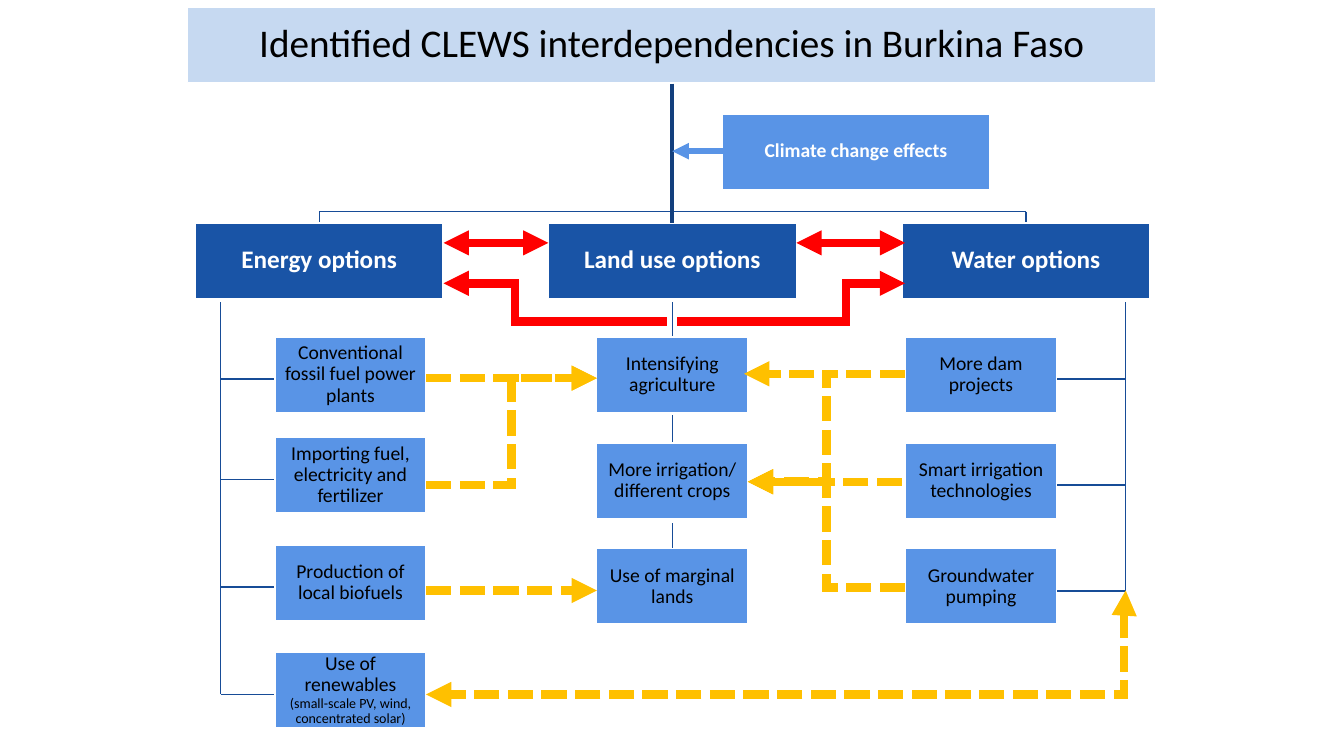
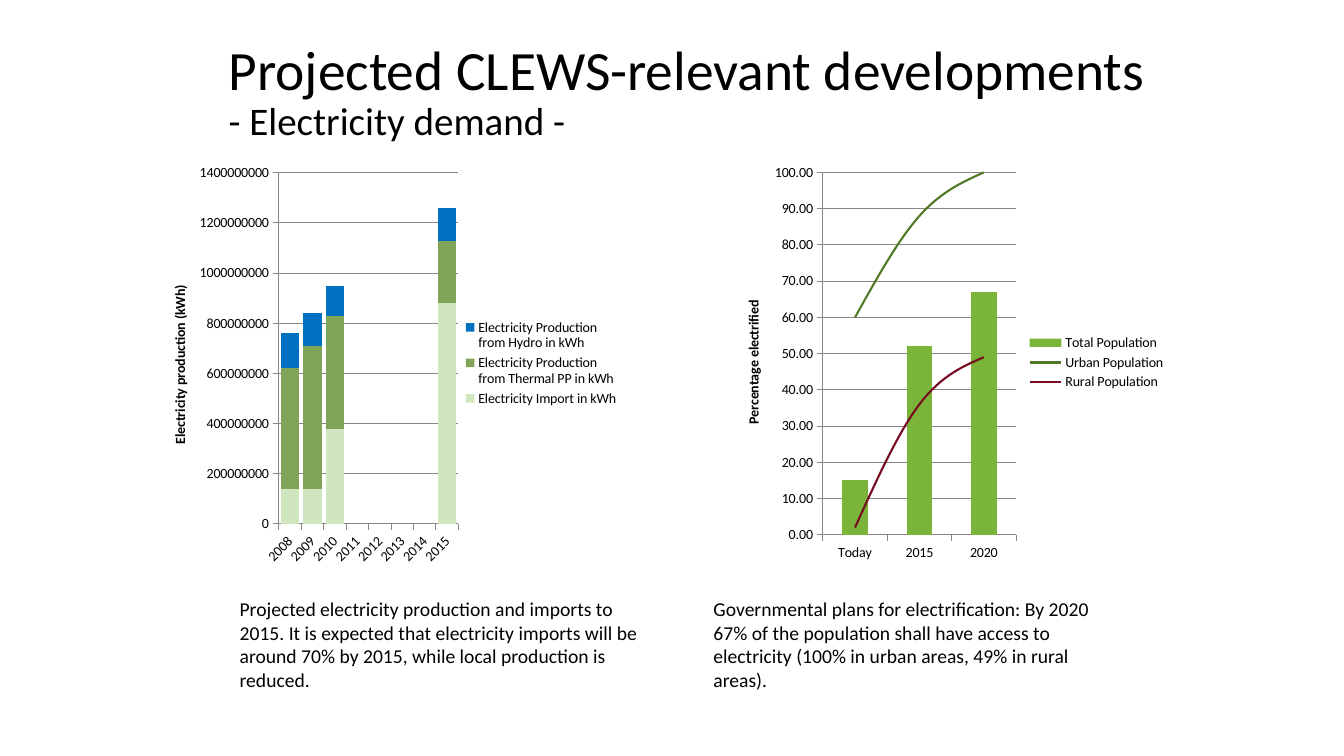
from dataclasses import dataclass
from lxml import etree
from pptx import Presentation
from pptx.chart.chart import Chart
from pptx.chart.data import CategoryChartData
from pptx.dml.color import RGBColor
from pptx.enum.chart import XL_CHART_TYPE, XL_LEGEND_POSITION, XL_MARKER_STYLE, XL_TICK_MARK
from pptx.enum.dml import MSO_LINE
from pptx.enum.shapes import MSO_CONNECTOR, MSO_SHAPE
from pptx.enum.text import MSO_ANCHOR, MSO_AUTO_SIZE, PP_ALIGN
from pptx.oxml.ns import qn
from pptx.shapes.autoshape import Shape
from pptx.slide import Slide
from pptx.text.text import TextFrame
from pptx.util import Cm, Pt

FONT = "Calibri"
BLACK = RGBColor(0x00, 0x00, 0x00)
WHITE = RGBColor(0xFF, 0xFF, 0xFF)
PALE_BLUE = RGBColor(0xC6, 0xD9, 0xF1)
LIGHT_BLUE = RGBColor(0x59, 0x94, 0xE6)
DEEP_BLUE = RGBColor(0x19, 0x54, 0xA6)
TREE_BLUE = RGBColor(0x17, 0x4C, 0x97)
NAVY = RGBColor(0x13, 0x3F, 0x7D)
RED = RGBColor(0xFF, 0x00, 0x00)
AMBER = RGBColor(0xFF, 0xC0, 0x00)
GRID_GREY = RGBColor(0x87, 0x87, 0x87)
IMPORT_GREEN = RGBColor(0xCF, 0xE6, 0xBE)
THERMAL_GREEN = RGBColor(0x80, 0xA5, 0x59)
HYDRO_BLUE = RGBColor(0x00, 0x70, 0xC0)
TOTAL_GREEN = RGBColor(0x7A, 0xB5, 0x39)
URBAN_GREEN = RGBColor(0x51, 0x79, 0x26)
RURAL_RED = RGBColor(0x76, 0x0C, 0x22)

LEFT, CENTER = PP_ALIGN.LEFT, PP_ALIGN.CENTER
TOP, MIDDLE = MSO_ANCHOR.TOP, MSO_ANCHOR.MIDDLE
STRAIGHT, ELBOW = MSO_CONNECTOR.STRAIGHT, MSO_CONNECTOR.ELBOW
RECTANGLE = MSO_SHAPE.RECTANGLE
SHORT_DASH = MSO_LINE.SQUARE_DOT
TICK_OUT = XL_TICK_MARK.OUTSIDE
STACKED, CLUSTERED = XL_CHART_TYPE.COLUMN_STACKED, XL_CHART_TYPE.COLUMN_CLUSTERED
LEGEND_RIGHT = XL_LEGEND_POSITION.RIGHT
NO_MARKER = XL_MARKER_STYLE.NONE
FIT_SHAPE, NO_FIT = MSO_AUTO_SIZE.SHAPE_TO_FIT_TEXT, MSO_AUTO_SIZE.NONE

BOX_HEIGHT, HEADER_WIDTH, OPTION_WIDTH = 1.9, 6.25, 3.81
HEADER_TOP, TRUNK_TOP, BRACKET_Y = 5.62, 7.62, 5.33
MIDDLE_X, RUNG_DROP = 16.94, 1.06
ROW_TOPS = [8.49 + 2.67 * row for row in range(3)]
Point = tuple[float, float]

@dataclass(frozen=True)
class Span:
    text: str
    size: float
    color: RGBColor = BLACK
    bold: bool = False

@dataclass(frozen=True)
class Column:
    header: str
    header_left: float
    option_left: float
    tops: list[float]
    options: list[str]

@dataclass(frozen=True)
class Link:
    start: Point
    end: Point
    color: RGBColor = AMBER
    width: float = 6
    head: bool = False
    tail: bool = True
    bend: float = 0.5

@dataclass(frozen=True)
class Series:
    name: str
    values: list[float | None]
    color: RGBColor

COLUMNS = [
    Column("Energy options", 4.92, 6.93, [8.49, 11.02, 13.73, 16.44], [
        "Conventional fossil fuel power plants", "Importing fuel, electricity and fertilizer",
        "Production of local biofuels", "Use of renewables\n(small-scale PV, wind, concentrated solar)"]),
    Column("Land use options", 13.82, 15.04, ROW_TOPS, [
        "Intensifying agriculture", "More irrigation/ different crops", "Use of marginal lands"]),
    Column("Water options", 22.73, 22.82, ROW_TOPS, [
        "More dam projects", "Smart irrigation technologies", "Groundwater pumping"]),
]
LINKS = [
    Link((11.18, 6.12), (13.82, 6.12), RED, head=True),
    Link((10.74, 12.22), (15.04, 9.53)),
    Link((10.74, 9.53), (15.04, 9.53)),
    Link((10.74, 14.88), (15.04, 14.88)),
    Link((22.73, 12.14), (18.85, 12.14)),
    Link((22.81, 9.42), (18.85, 12.14)),
    Link((22.81, 6.12), (20.07, 6.12), RED, head=True),
    Link((22.81, 14.81), (18.85, 12.14)),
    Link((11.18, 7.14), (16.81, 8.1), RED, head=True, tail=False, bend=0.32),
    Link((22.81, 7.14), (17.07, 8.1), RED, head=True, tail=False, bend=0.26),
    Link((MIDDLE_X, 2.11), (MIDDLE_X, HEADER_TOP), NAVY, 2.5, tail=False),
    Link((28.37, 14.88), (10.74, 17.5), head=True, bend=0),
    Link((18.21, 3.81), (MIDDLE_X, 3.81), LIGHT_BLUE, 4),
    Link((20.52, 9.42), (18.75, 9.42)),
]

def write(frame: TextFrame, spans: list[Span], align: PP_ALIGN, anchor: MSO_ANCHOR,
          spacing: float, inset: float) -> None:
    frame.word_wrap = True
    frame.vertical_anchor = anchor
    frame.margin_left = frame.margin_right = Cm(inset)
    frame.margin_top = frame.margin_bottom = Cm(min(inset, 0.13))
    para = frame.paragraphs[0]
    para.alignment = align
    para.line_spacing = spacing
    for index, span in enumerate(spans):
        if index:
            para.add_line_break()
        run = para.add_run()
        run.text = span.text
        run.font.name = FONT
        run.font.size = Pt(span.size)
        run.font.bold = span.bold
        run.font.color.rgb = span.color

def paint(shape: Shape, fill: RGBColor) -> None:
    shape.fill.solid()
    shape.fill.fore_color.rgb = fill
    shape.line.color.rgb = WHITE
    shape.line.width = Pt(1)

def add_title(slide: Slide, spans: list[Span], place: tuple[float, ...], align: PP_ALIGN, inset: float) -> Shape:
    title = slide.shapes.title
    title.left, title.top, title.width, title.height = map(Cm, place)
    write(title.text_frame, spans, align, MIDDLE, 0.9, inset)
    title.text_frame.auto_size = NO_FIT
    return title

def add_box(slide: Slide, left: float, top: float, width: float, fill: RGBColor,
            spans: list[Span], inset: float = 0.03) -> None:
    box = slide.shapes.add_shape(RECTANGLE, Cm(left), Cm(top), Cm(width), Cm(BOX_HEIGHT))
    box.shadow.inherit = False
    paint(box, fill)
    write(box.text_frame, spans, CENTER, MIDDLE, 0.9, inset)

def add_link(slide: Slide, link: Link) -> None:
    level = link.start[0] == link.end[0] or link.start[1] == link.end[1]
    connector = slide.shapes.add_connector(STRAIGHT if level else ELBOW, *map(Cm, link.start + link.end))
    connector.line.color.rgb = link.color
    connector.line.width = Pt(link.width)
    if link.color == AMBER:
        connector.line.dash_style = SHORT_DASH
    properties = connector.element.spPr
    outline = properties.find(qn("a:ln"))
    etree.SubElement(outline, qn("a:miter"), lim="800000")
    for tag, shown in (("a:headEnd", link.head), ("a:tailEnd", link.tail)):
        if shown:
            etree.SubElement(outline, qn(tag), type="triangle")
    etree.SubElement(properties, qn("a:effectLst"))
    if not level:
        guides = properties.find(qn("a:prstGeom")).get_or_add_avLst()
        bend = round(link.bend * 100000) or 200
        etree.SubElement(guides, qn("a:gd"), name="adj1", fmla=f"val {bend}")

def add_tree(slide: Slide) -> None:
    energy, land, water = COLUMNS
    ends = [column.header_left + HEADER_WIDTH / 2 for column in (energy, water)]
    segments = [((ends[0], BRACKET_Y), (ends[1], BRACKET_Y))]
    segments += [((x, BRACKET_Y), (x, HEADER_TOP)) for x in ends]
    segments += [((MIDDLE_X, start), (MIDDLE_X, top))
                 for start, top in zip((TRUNK_TOP, 10.46, 13.18), land.tops)]
    for trunk, edge, tops in ((5.56, energy.option_left, energy.tops),
                              (28.37, water.option_left + OPTION_WIDTH, water.tops)):
        segments.append(((trunk, TRUNK_TOP), (trunk, tops[-1] + RUNG_DROP)))
        segments += [((trunk, top + RUNG_DROP), (edge, top + RUNG_DROP)) for top in tops]
    for start, end in segments:
        add_link(slide, Link(start, end, TREE_BLUE, 1, tail=False))

def build_interdependencies(slide: Slide) -> None:
    title = add_title(slide, [Span("Identified CLEWS interdependencies in Burkina Faso", 28)],
                      (4.72, 0.18, 24.41, BOX_HEIGHT), CENTER, 0.05)
    paint(title, PALE_BLUE)
    add_tree(slide)
    add_box(slide, 18.21, 2.87, 6.73, LIGHT_BLUE, [Span("Climate change effects", 14, WHITE, True)])
    for column in COLUMNS:
        header = [Span(column.header, 18, WHITE, True)]
        add_box(slide, column.header_left, HEADER_TOP, HEADER_WIDTH, DEEP_BLUE, header)
        for top, option in zip(column.tops, column.options):
            spans = [Span(text, size) for text, size in zip(option.split("\n"), (14, 10))]
            add_box(slide, column.option_left, top, OPTION_WIDTH, LIGHT_BLUE, spans, 0.1)
    for link in LINKS:
        add_link(slide, link)

def add_column_chart(slide: Slide, kind: XL_CHART_TYPE, place: tuple[float, ...], categories: list[str],
                     series_list: list[Series], axis_title: str, number_format: str, gap: int) -> Chart:
    data = CategoryChartData(number_format=number_format)
    data.categories = categories
    for series in series_list:
        data.add_series(series.name, series.values)
    chart = slide.shapes.add_chart(kind, *map(Cm, place), data).chart
    chart.font.name = FONT
    chart.font.size = Pt(10)
    chart.font.color.rgb = BLACK
    chart.has_title = False
    chart.has_legend = True
    chart.legend.position = LEGEND_RIGHT
    chart.legend.include_in_layout = False
    value_axis = chart.value_axis
    for axis in (chart.category_axis, value_axis):
        axis.major_tick_mark = TICK_OUT
        axis.format.line.color.rgb = GRID_GREY
        axis.tick_labels.font.size = Pt(10)
    value_axis.major_gridlines.format.line.color.rgb = GRID_GREY
    value_axis.tick_labels.number_format = number_format
    value_axis.tick_labels.number_format_is_linked = False
    write(value_axis.axis_title.text_frame, [Span(axis_title, 10, bold=True)], CENTER, TOP, 1, 0)
    plot = chart.plots[0]
    plot.gap_width = gap
    plot.vary_by_categories = False
    for drawn, series in zip(plot.series, series_list):
        drawn.format.fill.solid()
        drawn.format.fill.fore_color.rgb = series.color
    return chart

def set_plot_area(chart: Chart, place: dict[str, float]) -> None:
    area = chart.element.xpath("c:chart/c:plotArea")[0]
    for old in area.findall(qn("c:layout")):
        area.remove(old)
    layout = etree.SubElement(area, qn("c:layout"))
    area.insert(0, layout)
    manual = etree.SubElement(layout, qn("c:manualLayout"))
    settings = {"layoutTarget": "inner", "xMode": "edge", "yMode": "edge", **place}
    for tag, value in settings.items():
        etree.SubElement(manual, qn(f"c:{tag}"), val=str(value))

def turn_into_lines(chart: Chart, series_list: list[Series]) -> None:
    bars = chart.element.xpath("c:chart/c:plotArea/c:barChart")[0]
    lines = etree.SubElement(bars.getparent(), qn("c:lineChart"))
    bars.addnext(lines)
    etree.SubElement(lines, qn("c:grouping"), val="standard")
    etree.SubElement(lines, qn("c:varyColors"), val="0")
    for moved in bars.findall(qn("c:ser"))[1:]:
        for child in moved.findall(qn("c:invertIfNegative")) + moved.findall(qn("c:spPr")):
            moved.remove(child)
        lines.append(moved)
    etree.SubElement(lines, qn("c:marker"), val="1")
    for axis in bars.findall(qn("c:axId")):
        etree.SubElement(lines, qn("c:axId"), val=axis.get("val"))
    for drawn, series in zip(chart.plots[1].series, series_list):
        drawn.format.line.color.rgb = series.color
        drawn.format.line.width = Pt(1.5)
        drawn.marker.style = NO_MARKER
        drawn.smooth = True

def build_demand(slide: Slide) -> None:
    add_title(slide, [Span("Projected CLEWS-relevant developments", 39.6), Span("- Electricity demand -", 27.9)],
              (5.51, 0.76, 23.62, 3.18), LEFT, 0.25)
    gap_years = [None] * 4
    sources = [
        Series("Electricity Import in kWh", [140e6, 140e6, 380e6, *gap_years, 880e6], IMPORT_GREEN),
        Series("Electricity Production from Thermal PP in kWh", [480e6, 570e6, 450e6, *gap_years, 250e6],
               THERMAL_GREEN),
        Series("Electricity Production from Hydro in kWh", [140e6, 130e6, 120e6, *gap_years, 130e6], HYDRO_BLUE),
    ]
    years = [str(year) for year in range(2008, 2016)]
    production = add_column_chart(slide, STACKED, (4.24, 3.94, 11.61, 10.41), years, sources,
                                  "Electricity production (kWh)", "General", 22)
    production.plots[0].overlap = 100
    production.element.xpath("c:chart/c:plotArea/c:catAx/c:txPr/a:bodyPr")[0].set("rot", "-2700000")
    set_plot_area(production, {"x": 0.24, "y": 0.04, "w": 0.39, "h": 0.85})
    population = [
        Series("Total Population", [15, 52, 67], TOTAL_GREEN),
        Series("Urban Population", [60, 88, 100], URBAN_GREEN),
        Series("Rural Population", [2, 36, 49], RURAL_RED),
    ]
    access = add_column_chart(slide, CLUSTERED, (18.24, 3.94, 11.4, 10.39), ["Today", "2015", "2020"],
                              population, "Percentage electrified", "0.00", 149)
    access.value_axis.maximum_scale = 100
    turn_into_lines(access, population[1:])
    captions = [
        (5.79, "Projected electricity production and imports to 2015. It is expected that electricity imports "
               "will be around 70% by 2015, while local production is reduced."),
        (17.73, "Governmental plans for electrification: By 2020 67% of the population shall have access to "
                "electricity (100% in urban areas, 49% in rural areas)."),
    ]
    for left, text in captions:
        box = slide.shapes.add_textbox(Cm(left), Cm(14.92), Cm(10.77), Cm(2.64))
        write(box.text_frame, [Span(text, 14)], LEFT, TOP, 1, 0.25)
        box.text_frame.auto_size = FIT_SHAPE

def main() -> None:
    deck = Presentation()
    deck.slide_width, deck.slide_height = Cm(33.87), Cm(19.05)
    for build in (build_interdependencies, build_demand):
        build(deck.slides.add_slide(deck.slide_layouts[5]))
    deck.save("out.pptx")

if __name__ == "__main__":
    main()
